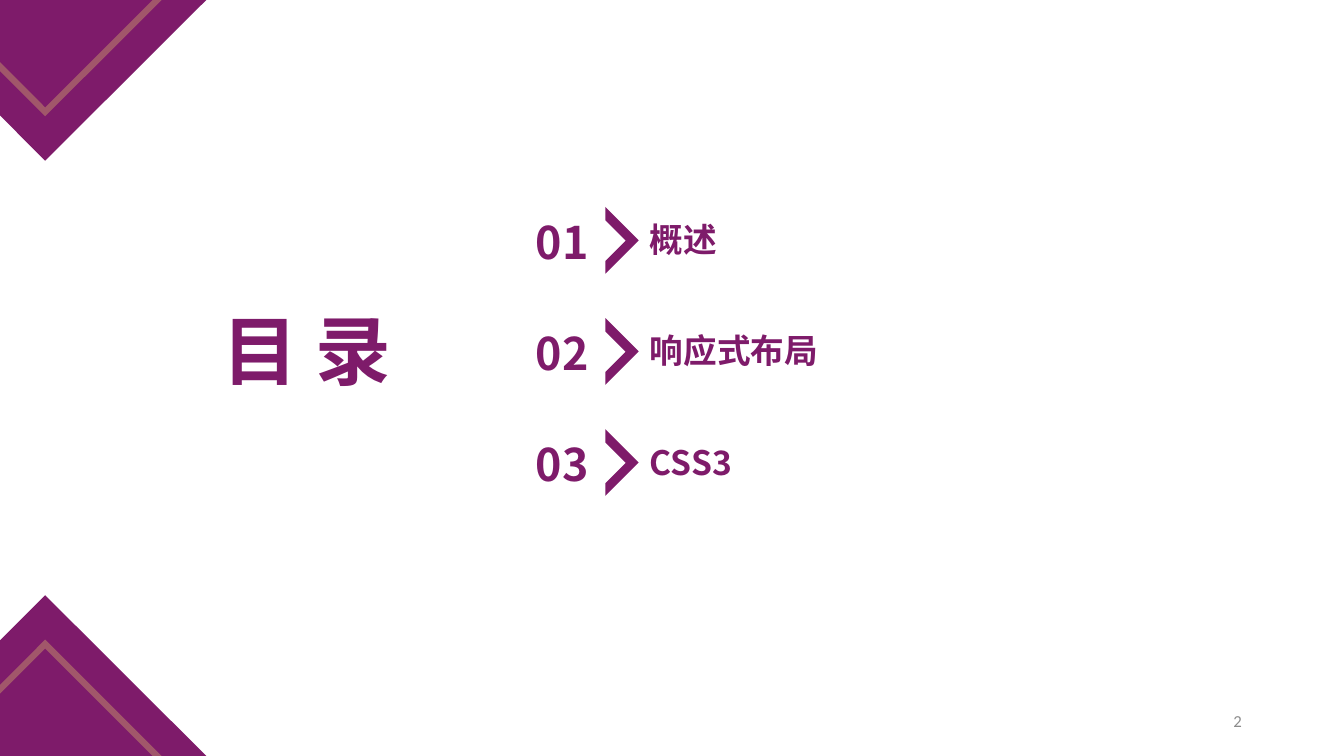
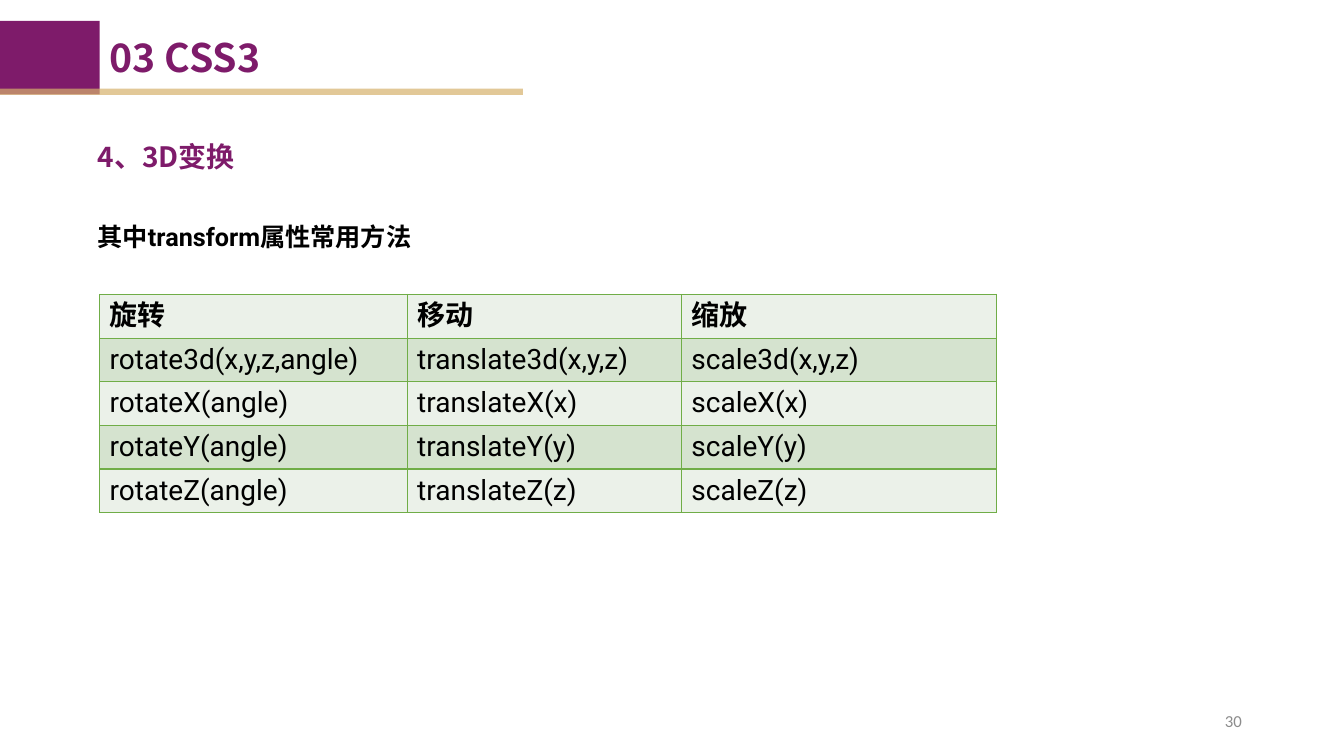
import pptx
import pptx.util
import pptx.dml.color
import pptx.enum.shapes
import pptx.enum.text
import pptx.oxml.ns
from lxml import etree

Cm = pptx.util.Cm
Pt = pptx.util.Pt
qn = pptx.oxml.ns.qn
ALIGN = pptx.enum.text.PP_ALIGN
ANCHOR = pptx.enum.text.MSO_ANCHOR
SHAPE = pptx.enum.shapes.MSO_SHAPE
CONNECTOR = pptx.enum.shapes.MSO_CONNECTOR

COLORS = {
    "purple": "7E1B6A",
    "gold": "D7B26C",
    "gray": "8C8C8C",
    "black": "000000",
    "green": "70AD47",
    "light": "EBF1E9",
    "band": "D5E3CF",
}
WIDTH, HEIGHT = 33.87, 19.05
HEADING, BODY, FOOTER = "Noto Sans CJK SC", "Roboto", "Calibri"


def rgb(name):
    return pptx.dml.color.RGBColor.from_string(COLORS[name])


class Deck:
    def __init__(self):
        self.prs = pptx.Presentation()
        self.prs.slide_width, self.prs.slide_height = Cm(WIDTH), Cm(HEIGHT)
        self.s = None

    def slide(self, number):
        self.s = self.prs.slides.add_slide(self.prs.slide_layouts[5])
        self.text(str(number), (23.93, 17.65, 7.62, 1.02), 12, "gray", FOOTER,
                  False, ALIGN.RIGHT, ANCHOR.MIDDLE)

    def style(self, p, size, color="purple", font=HEADING, bold=True, align=ALIGN.LEFT):
        p.alignment = align
        p.font.size, p.font.bold, p.font.name = Pt(size), bold, font
        p.font.color.rgb = rgb(color)
        latin = p._p.find(".//" + qn("a:latin"))
        ea = etree.Element(qn("a:ea"), typeface=font)
        latin.addnext(ea)

    def fill_text(self, tf, text, size, color="purple", font=HEADING, bold=True,
                  align=ALIGN.LEFT, anchor=ANCHOR.TOP):
        tf.word_wrap = True
        tf.auto_size = pptx.enum.text.MSO_AUTO_SIZE.NONE
        tf.vertical_anchor = anchor
        p = tf.paragraphs[0]
        p.text = text
        self.style(p, size, color, font, bold, align)
        return p

    def text(self, text, box, *args, **kwargs):
        sp = self.s.shapes.add_textbox(*map(Cm, box))
        return self.fill_text(sp.text_frame, text, *args, **kwargs)

    def title(self, text, box, size, align=ALIGN.LEFT):
        sp = self.s.shapes.title
        sp.left, sp.top, sp.width, sp.height = map(Cm, box)
        self.fill_text(sp.text_frame, text, size, align=align)

    def paint(self, sp):
        sp.shadow.inherit = False
        sp.fill.solid()
        sp.fill.fore_color.rgb = rgb("purple")
        sp.line.fill.background()

    def shape(self, kind, box):
        sp = self.s.shapes.add_shape(kind, *map(Cm, box))
        self.paint(sp)
        return sp

    def gold_line(self, sp, opacity):
        sp.line.width = Pt(4.5)
        sp.line.color.rgb = rgb("gold")
        clr = sp.element.xpath(".//a:ln//a:srgbClr")[0]
        etree.SubElement(clr, qn("a:alpha"), val=str(opacity * 1000))
        etree.SubElement(sp.element.xpath(".//a:ln")[0], qn("a:miter"), lim="800000")

    def rule(self, y, right):
        line = self.s.shapes.add_connector(CONNECTOR.STRAIGHT, 0, Cm(y), Cm(right), Cm(y))
        self.gold_line(line, 70)
        etree.SubElement(line.element.spPr, qn("a:effectLst"))

    def freeform(self, points, close):
        points = [(Cm(x), Cm(y)) for x, y in points]
        builder = self.s.shapes.build_freeform(*points[0])
        builder.add_line_segments(points[1:], close=close)
        return builder.convert_to_shape()

    def corner(self, at_bottom):
        def place(points):
            return [(x, HEIGHT - y if at_bottom else y) for x, y in points]

        self.paint(self.freeform(place([(0, 0), (5.2, 0), (1.14, 4.05), (0, 2.91)]), True))
        edge = self.freeform(place([(-0.1, 1.58), (1.14, 2.82), (4.11, -0.15)]), False)
        edge.shadow.inherit = False
        edge.fill.background()
        self.gold_line(edge, 40)

    def header(self, text):
        self.title(text, (2.51, 0.71, 13.13, 1.45), 28)
        self.shape(SHAPE.RECTANGLE, (0, 0.53, 2.51, 1.85))
        self.rule(2.31, 13.18)

    def entry(self, index, text):
        y = 5.28 + 2.8 * index
        self.text(f"{index + 1:02}", (12.92, y, 2.51, 1.63), 32, align=ALIGN.CENTER)
        arrow = self.shape(SHAPE.HALF_FRAME, (14.66, y + 0.18, 1.19, 1.19))
        arrow.rotation = 135
        arrow.adjustments[0], arrow.adjustments[1] = 0.19, 0.2
        self.text(text, (16.13, y + 0.12, 9.12, 1.27), 24)

    def borders(self, cell):
        tc_pr = cell._tc.get_or_add_tcPr()
        for side in ("lnL", "lnR", "lnT", "lnB"):
            ln = etree.SubElement(tc_pr, qn("a:" + side), w=str(Pt(1)))
            fill = etree.SubElement(ln, qn("a:solidFill"))
            etree.SubElement(fill, qn("a:srgbClr"), val=COLORS["green"])

    def table(self, rows, left, top, widths, row_height):
        frame = self.s.shapes.add_table(len(rows), len(widths), Cm(left), Cm(top),
                                        Cm(sum(widths)), Cm(row_height * len(rows)))
        table = frame.table
        table.first_row = table.horz_banding = False
        for column, width in zip(table.columns, widths):
            column.width = Cm(width)
        for i, row in enumerate(rows):
            table.rows[i].height = Cm(row_height)
            for j, text in enumerate(row):
                cell = table.cell(i, j)
                self.borders(cell)
                cell.fill.solid()
                cell.fill.fore_color.rgb = rgb("band" if i % 2 else "light")
                cell.text = text
                self.style(cell.text_frame.paragraphs[0], 20, "black", BODY, i == 0)


def contents(deck):
    deck.slide(2)
    for at_bottom in (False, True):
        deck.corner(at_bottom)
    deck.title("目 录", (4.67, 7.54, 6.12, 2.57), 54, ALIGN.CENTER)
    for index, text in enumerate(["概述", "响应式布局", "CSS3"]):
        deck.entry(index, text)


def transforms(deck):
    deck.slide(30)
    deck.header("03 CSS3")
    deck.text("4、3D变换", (2.21, 3.4, 30.58, 1.12), 20, align=ALIGN.JUSTIFY)
    p = deck.text("其中transform属性常用方法", (2.21, 5.08, 27.36, 1.27), 18, "black", BODY)
    p.line_spacing = 1.5
    rows = [
        ("旋转", "移动", "缩放"),
        ("rotate3d(x,y,z,angle)", "translate3d(x,y,z)", "scale3d(x,y,z)"),
    ]
    rows += [(f"rotate{axis.upper()}(angle)", f"translate{axis.upper()}({axis})",
              f"scale{axis.upper()}({axis})") for axis in "xyz"]
    deck.table(rows, 2.51, 7.42, (7.75, 6.91, 7.95), 1.1)


def main():
    deck = Deck()
    contents(deck)
    transforms(deck)
    deck.prs.save("out.pptx")


if __name__ == "__main__":
    main()
